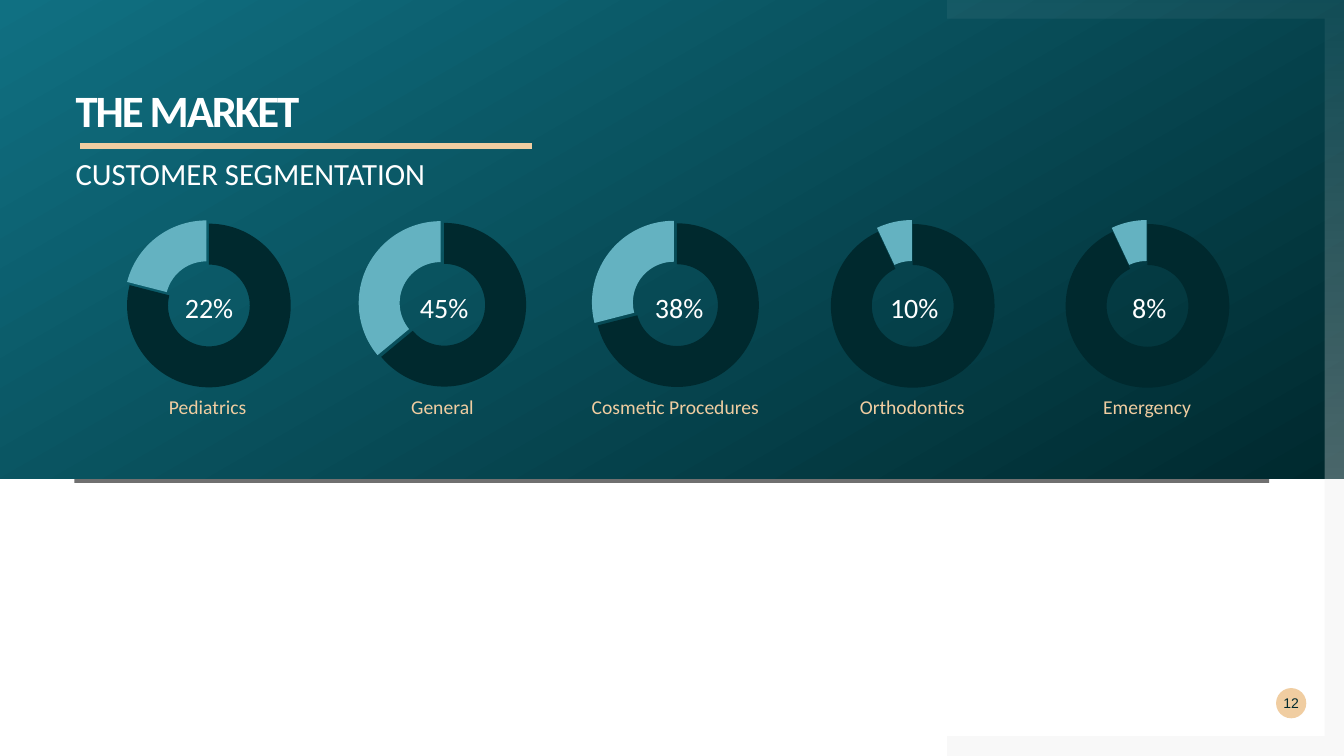
from lxml import etree
from pptx import Presentation, util as u
from pptx.chart import data as cd
from pptx.dml import color as col
from pptx.enum import chart as ch, shapes as sh, text as tx
from pptx.oxml import ns

Pt = u.Pt


class Theme:
    dark = col.RGBColor.from_string("00292E")
    teal = col.RGBColor.from_string("107082")
    aqua = col.RGBColor.from_string("64B2C1")
    sand = col.RGBColor.from_string("F0CDA1")
    white = col.RGBColor.from_string("FFFFFF")
    grey = col.RGBColor.from_string("808080")
    black = col.RGBColor.from_string("000000")
    font, small = "Calibri", "Arial"
    title, head, share, label, tiny = 32, 22, 20, 14, 10


def paint(shape, stops, angle=0):
    """Fill with (colour, opacity %) stops; one stop is a solid fill."""
    shape.shadow.inherit = False
    shape.line.fill.background()
    if len(stops) == 1:
        shape.fill.solid()
        shape.fill.fore_color.rgb = stops[0][0]
    else:
        shape.fill.gradient()
        shape.fill.gradient_angle = angle
        for stop, (tone, _) in zip(shape.fill.gradient_stops, stops):
            stop.color.rgb = tone
    tones = shape._element.spPr.iter(ns.qn("a:srgbClr"))
    for tone, (_, alpha) in zip(tones, stops):
        if alpha < 100:
            etree.SubElement(tone, ns.qn("a:alpha")).set("val", str(alpha * 1000))


def write(shape, words, size, tone, font=Theme.font, inset=True, center=True):
    frame = shape.text_frame
    frame.word_wrap = True
    if inset:
        frame.margin_left = frame.margin_right = 0
        frame.margin_top = frame.margin_bottom = 0
    para = frame.paragraphs[0]
    para.text = words
    para.alignment = tx.PP_ALIGN.CENTER if center else tx.PP_ALIGN.LEFT
    para.font.size, para.font.name = Pt(size), font
    para.font.color.rgb = tone
    return para


deck = Presentation()
deck.slide_width, deck.slide_height = Pt(960), Pt(540)
slide = deck.slides.add_slide(deck.slide_layouts[6])
parts = slide.shapes

# Rule and gradient panel
rule = parts.add_shape(sh.MSO_SHAPE.RECTANGLE, Pt(53.2), Pt(341.4), Pt(853.4), Pt(3.6))
paint(rule, [(Theme.black, 56)])
panel = parts.add_shape(sh.MSO_SHAPE.RECTANGLE, 0, 0, Pt(960), Pt(342))
paint(panel, [(Theme.dark, 100), (Theme.teal, 100)], 120)

# Corner frames: the outer edge, the inner edge, and their fill
frames = [
    (0, 13.8, [(Theme.white, 5), (Theme.white, 30)]),
    (540, 525.8, [(Theme.grey, 5)]),
]
for outer, inner, stops in frames:
    edge = [(960, outer), (960, 342), (946.2, 342), (946.2, inner), (676.6, inner)]
    path = parts.build_freeform(Pt(676.6), Pt(outer))
    path.add_line_segments([(Pt(x), Pt(y)) for x, y in edge])
    paint(path.convert_to_shape(), stops, 270)

# Headings
title = parts.add_textbox(Pt(54), Pt(63.4), Pt(595.4), Pt(28.8))
para = write(title, "THE MARKET", Theme.title, Theme.white, center=False)
para.font.bold = True
para.line_spacing = 0.9
para.runs[0]._r.get_or_add_rPr().set("spc", "-150")
head = parts.add_textbox(Pt(54), Pt(110.5), Pt(595.4), Pt(28))
para = write(head, "CUSTOMER SEGMENTATION", Theme.head, Theme.white, center=False)
para.space_after = Pt(10)

line = parts.add_connector(sh.MSO_CONNECTOR.STRAIGHT, Pt(57), Pt(104.4), Pt(380), Pt(104.4))
line.line.color.rgb = Theme.sand
line.line.width = Pt(4.32)
etree.SubElement(line._element.spPr, ns.qn("a:effectLst"))

# Page number
badge = parts.add_shape(sh.MSO_SHAPE.OVAL, Pt(911.5), Pt(491.5), Pt(21.6), Pt(21.6))
paint(badge, [(Theme.sand, 100)])
write(badge, "12", Theme.tiny, Theme.dark, Theme.small)
badge.text_frame.vertical_anchor = tx.MSO_ANCHOR.MIDDLE

# Segments: label, label width, shown share, drawn slice, chart left
segments = [
    ("Pediatrics", 74, "22%", 21, 78.5),
    ("General", 64, "45%", 36, 246.2),
    ("Cosmetic Procedures", 142, "38%", 29, 412.6),
    ("Orthodontics", 97, "10%", 7, 581.8),
    ("Emergency", 84, "8%", 7, 749.5),
]
wide = 139.7
for i, (name, width, share, slice_, left) in enumerate(segments):
    # Ring
    data = cd.CategoryChartData()
    data.categories = ["1", "2"]
    data.add_series("Series 1", [100 - slice_, slice_])
    ring = parts.add_chart(ch.XL_CHART_TYPE.DOUGHNUT, Pt(left), Pt(131.8),
                           Pt(wide), Pt(170.6), data).chart
    ring.has_legend = ring.has_title = False
    ring.font.size, ring.font.name = Pt(Theme.tiny), Theme.small
    ring.font.color.rgb = Theme.black
    plot = ring.plots[0]
    plot.vary_by_categories = True
    plot.has_data_labels = False
    plot._element.find(ns.qn("c:holeSize")).set("val", "60")
    series = plot.series[0]
    burst = etree.Element(ns.qn("c:explosion"), val="5")
    series._element.find(ns.qn("c:tx")).addnext(burst)
    for j, tone in enumerate([Theme.dark, Theme.aqua]):
        look = series.points[j].format
        look.fill.solid()
        look.fill.fore_color.rgb = tone
        look.line.fill.background()

    # Share in the hole
    hole = parts.add_shape(sh.MSO_SHAPE.OVAL, Pt(119.5 + 167.9 * i), Pt(189.4), Pt(59.8), Pt(59.8))
    hole.shadow.inherit = False
    hole.fill.background()
    hole.line.fill.background()
    write(hole, share, Theme.share, Theme.white)
    hole.text_frame.vertical_anchor = tx.MSO_ANCHOR.MIDDLE

    # Label below
    label = parts.add_textbox(Pt(left + (wide - width) / 2), Pt(278.3), Pt(width), Pt(24.3))
    write(label, name, Theme.label, Theme.sand, inset=False)
    label.text_frame.word_wrap = False
    label.text_frame.auto_size = tx.MSO_AUTO_SIZE.SHAPE_TO_FIT_TEXT

deck.save("out.pptx")
